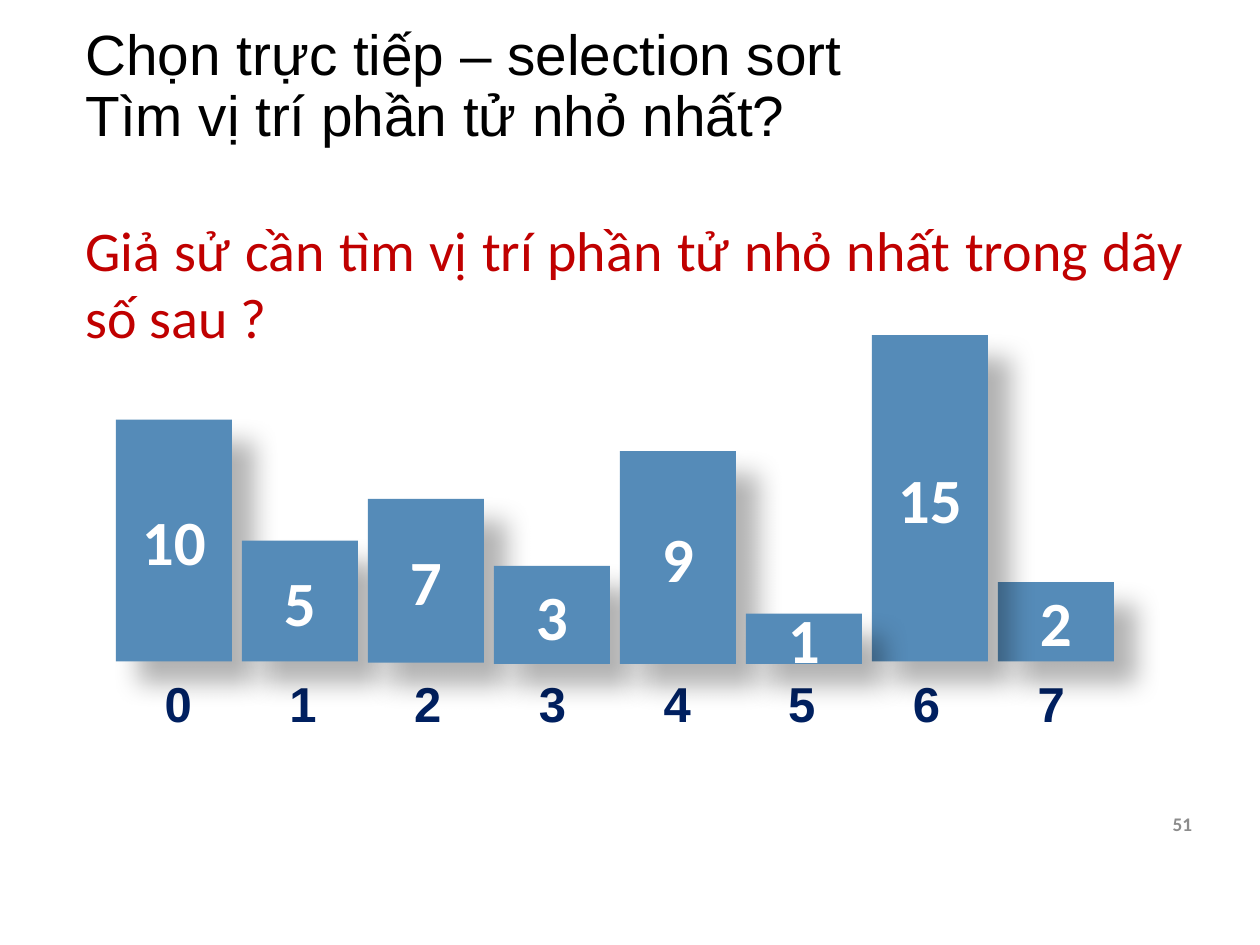
from lxml import etree
from pptx import Presentation
from pptx.dml.color import RGBColor
from pptx.enum.shapes import MSO_SHAPE
from pptx.enum.text import MSO_ANCHOR, PP_ALIGN
from pptx.oxml.ns import qn
from pptx.util import Inches, Pt

RECTANGLE = MSO_SHAPE.RECTANGLE
TOP, MIDDLE = MSO_ANCHOR.TOP, MSO_ANCHOR.MIDDLE
LEFT, CENTER = PP_ALIGN.LEFT, PP_ALIGN.CENTER
RIGHT, JUSTIFY = PP_ALIGN.RIGHT, PP_ALIGN.JUSTIFY

BLACK = RGBColor(0x00, 0x00, 0x00)
WHITE = RGBColor(0xFF, 0xFF, 0xFF)
NAVY = RGBColor(0x00, 0x20, 0x60)
RED = RGBColor(0xC0, 0x00, 0x00)
GRAY = RGBColor(0x8C, 0x8C, 0x8C)
BAR_BLUE = RGBColor(0x55, 0x8B, 0xB8)

TITLE_FONT = {"name": "Arial", "size": Pt(32.4), "bold": False}
QUESTION_FONT = {"name": "Calibri", "size": Pt(32), "bold": False}
BAR_FONT = {"name": "Calibri", "size": Pt(36), "bold": True}
INDEX_FONT = {"name": "Arial", "size": Pt(28), "bold": True}
NUMBER_FONT = {"name": "Calibri", "size": Pt(11), "bold": True}

ROW_LEFT = 0.92
BAR_WIDTH = 0.92
BAR_PITCH = 1
INDEX_WIDTH = 0.99
BARS = [
    (0, "10", 3.33, 1.92),
    (1, "5", 4.29, 0.96),
    (2, "7", 3.96, 1.3),
    (3, "3", 4.49, 0.78),
    (4, "9", 3.58, 1.69),
    (7, "2", 4.62, 0.63),
    (6, "15", 2.66, 2.59),
    (5, "1", 4.87, 0.4),
]


def write_text(frame, text, font_format, color, alignment):
    paragraph = frame.paragraphs[0]
    paragraph.text = text
    paragraph.alignment = alignment
    for name, value in font_format.items():
        setattr(paragraph.font, name, value)
    paragraph.font.color.rgb = color
    return paragraph


def add_text(slide, box, text, font_format, color, alignment, anchor):
    frame = slide.shapes.add_textbox(*map(Inches, box)).text_frame
    frame.word_wrap = True
    frame.vertical_anchor = anchor
    return write_text(frame, text, font_format, color, alignment)


def add_soft_shadow(shape):
    shape.shadow.inherit = False
    effects = shape._element.spPr.find(qn("a:effectLst"))
    shadow = etree.SubElement(effects, qn("a:outerShdw"), {
        "blurRad": str(Pt(15)), "dist": str(Pt(18)), "dir": str(45 * 60000),
        "algn": "tl", "rotWithShape": "0",
    })
    color = etree.SubElement(shadow, qn("a:srgbClr"), val=str(BLACK))
    etree.SubElement(color, qn("a:alpha"), val="30000")


def add_bar(slide, position, value, top, height):
    left = ROW_LEFT + position * BAR_PITCH
    shape = slide.shapes.add_shape(
        RECTANGLE, *map(Inches, (left, top, BAR_WIDTH, height)))
    shape.fill.solid()
    shape.fill.fore_color.rgb = BAR_BLUE
    shape.line.fill.background()
    add_soft_shadow(shape)
    shape.text_frame.vertical_anchor = MIDDLE
    write_text(shape.text_frame, value, BAR_FONT, WHITE, CENTER)


def add_index_table(slide, count):
    box = (ROW_LEFT, 5.33, count * INDEX_WIDTH, 0.75)
    table = slide.shapes.add_table(1, count, *map(Inches, box)).table
    table.horz_banding = False
    for index, cell in enumerate(table.iter_cells()):
        table.columns[index].width = Inches(INDEX_WIDTH)
        cell.fill.background()
        write_text(cell.text_frame, str(index), INDEX_FONT, NAVY, CENTER)


def main():
    presentation = Presentation()
    presentation.slide_width = Inches(10)
    presentation.slide_height = Inches(7.5)
    slide = presentation.slides.add_slide(presentation.slide_layouts[6])

    add_index_table(slide, len(BARS))
    title = add_text(
        slide, (0.58, 0.22, 8.83, 0.95),
        "Chọn trực tiếp – selection sort\vTìm vị trí phần tử nhỏ nhất?",
        TITLE_FONT, BLACK, LEFT, MIDDLE)
    title.line_spacing = 0.9
    add_text(slide, (8.89, 6.25, 0.67, 0.57), "51",
             NUMBER_FONT, GRAY, RIGHT, MIDDLE)
    for bar in BARS:
        add_bar(slide, *bar)
    add_text(slide, (0.58, 1.66, 8.92, 1.18),
             "Giả sử cần tìm vị trí phần tử nhỏ nhất trong dãy số sau ?",
             QUESTION_FONT, RED, JUSTIFY, TOP)

    presentation.save("out.pptx")


if __name__ == "__main__":
    main()
